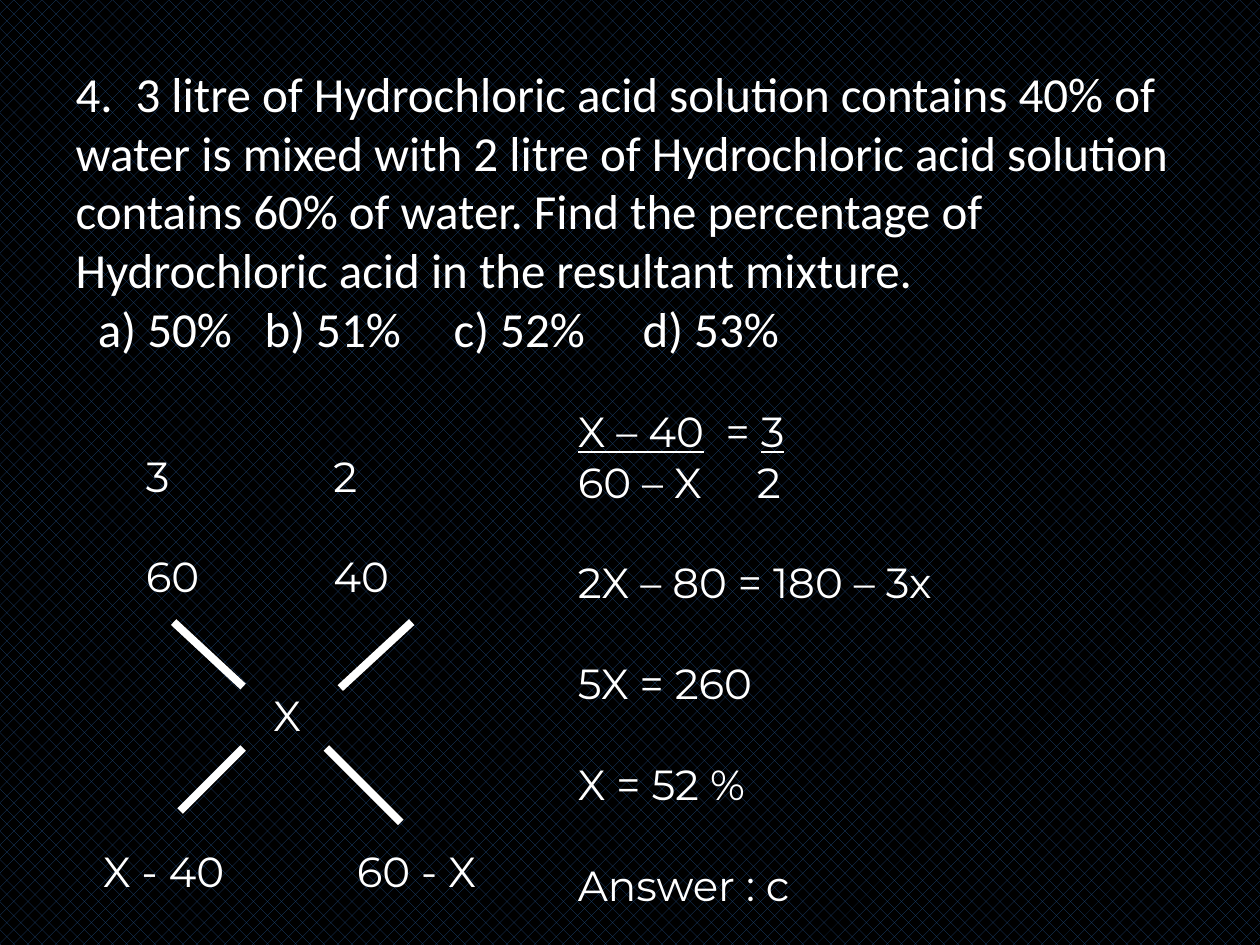
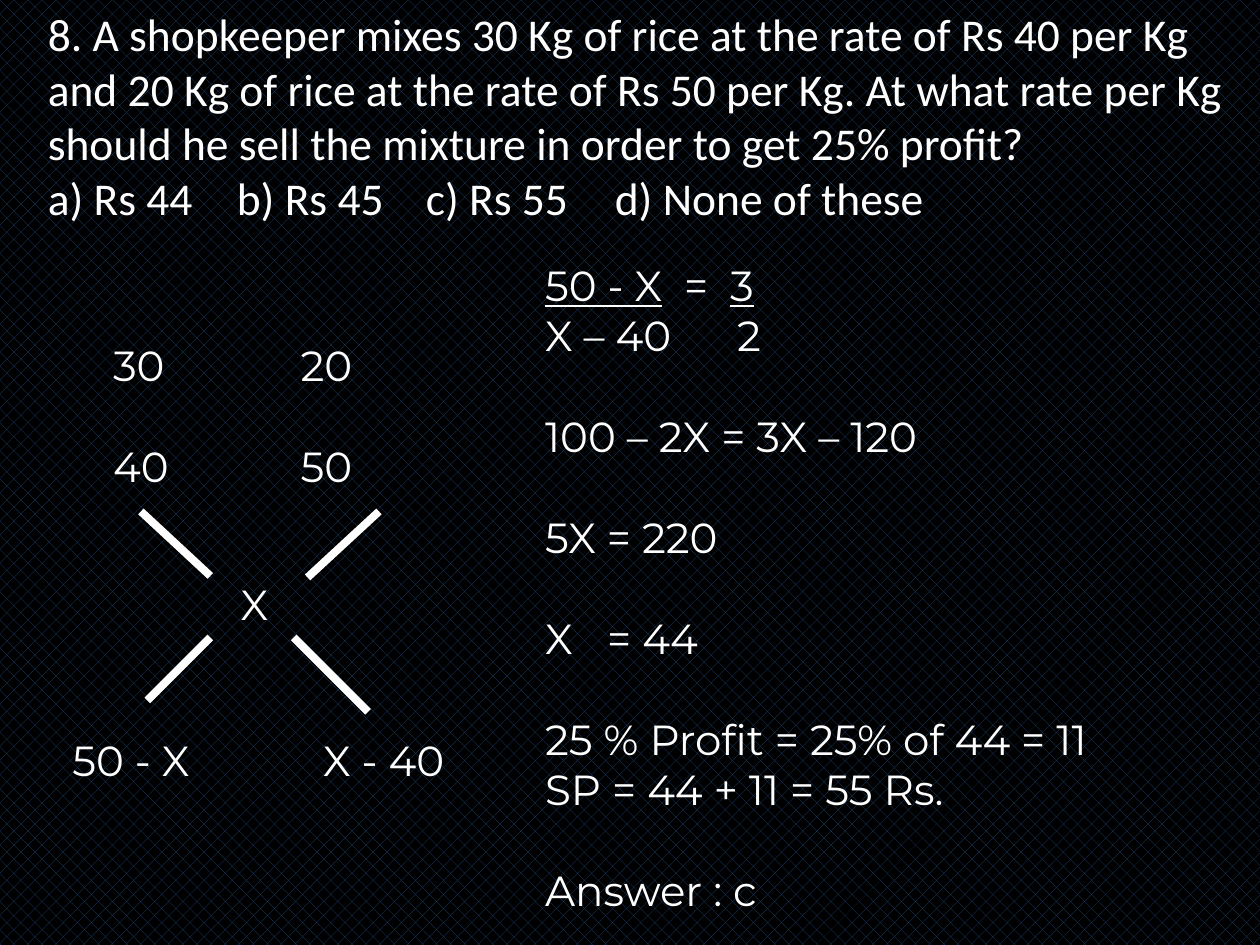
from lxml import etree
from pptx import Presentation
from pptx.dml.color import RGBColor
from pptx.enum.dml import MSO_PATTERN
from pptx.enum.shapes import MSO_CONNECTOR
from pptx.enum.text import MSO_ANCHOR, MSO_AUTO_SIZE, PP_ALIGN
from pptx.oxml.ns import qn
from pptx.util import Cm, Pt

LEFT, CENTER = PP_ALIGN.LEFT, PP_ALIGN.CENTER
TOP, MIDDLE = MSO_ANCHOR.TOP, MSO_ANCHOR.MIDDLE
STRAIGHT = MSO_CONNECTOR.STRAIGHT
COLORS = {"text": "FFFFFF", "weave": "1F497D", "ground": "000000"}
WHITE = RGBColor.from_string(COLORS["text"])
WORKING_FONT = {"name": "Montserrat", "size": Pt(24)}
GAP = 28.8  # one working line, in points
OPTION_STOPS = [5.08, 10.16, 15.24]
NUMBER_STOPS = [3.78]


def write(frame, lines, font, anchor=MIDDLE, align=LEFT):
    """Fill a frame with (text, tab stops in cm, space before in pt); _..._ underlines."""
    settings = {"word_wrap": True, "auto_size": MSO_AUTO_SIZE.NONE, "vertical_anchor": anchor}
    for key, value in settings.items():
        setattr(frame, key, value)
    for index, (text, stops, space) in enumerate(lines):
        paragraph = frame.paragraphs[0] if index == 0 else frame.add_paragraph()
        paragraph.alignment = align
        paragraph.space_before = Pt(space)
        if stops:
            tabs = etree.SubElement(paragraph._p.get_or_add_pPr(), qn("a:tabLst"))
            for stop in stops:
                etree.SubElement(tabs, qn("a:tab"), pos=str(Cm(stop)), algn="l")
        for part, piece in enumerate(text.split("_")):
            if piece:
                run = paragraph.add_run()
                run.text = piece
                for key, value in font.items():
                    setattr(run.font, key, value)
                run.font.underline = part % 2 == 1
                run.font.color.rgb = WHITE


def add_working(slide, box, lines, align=LEFT):
    frame = slide.shapes.add_textbox(*map(Cm, box)).text_frame
    write(frame, lines, WORKING_FONT, align=align)


# Arms of the cross, measured from the diagram's corner: x1, y1, x2, y2
CROSS_ARMS = [
    (1.8, 3.78, 3.2, 5.08),
    (5.16, 5.11, 6.6, 3.78),
    (1.93, 7.59, 3.2, 6.32),
    (4.88, 6.32, 6.38, 7.82),
]

PROBLEMS = [
    {
        "question_box": (1.27, 0.76, 22.86, 6.96),
        "question_size": 28,
        "question_anchor": MIDDLE,
        "options_indent": 0.45,
        "question": [
            ("4.\t3 litre of Hydrochloric acid solution contains 40% of water is mixed "
             "with 2 litre of Hydrochloric acid solution contains 60% of water. Find the "
             "percentage of Hydrochloric acid in the resultant mixture.", [1.21], 0),
            ("a) 50%\tb) 51%\tc) 52%\td) 53%", OPTION_STOPS, 0),
        ],
        "diagram_corner": (1.7, 8.76),
        "quantities": "3\t2",
        "values": "60\t40",
        "differences": ("X - 40", "60 - X"),
        "solution_box": (11.4, 8.33, 12.4, 9.86),
        "solution": [
            ("_X – 40\t_= _3\t_", [2.98, 4.62], 0),
            ("60 – X\t2", [3.61], 0),
            ("2X – 80 = 180 – 3x", [], GAP),
            ("5X = 260", [], GAP),
            ("X = 52 %", [], GAP),
            ("Answer : c", [], GAP),
        ],
    },
    {
        "question_box": (0.71, 0, 24.41, 4.7),
        "question_size": 26,
        "question_anchor": TOP,
        "options_indent": 0,
        "question": [
            ("8. A shopkeeper mixes 30 Kg of rice at the rate of Rs 40 per Kg and 20 Kg "
             "of rice at the rate of Rs 50 per Kg. At what rate per Kg should he sell "
             "the mixture in order to get 25% profit?", [], 0),
            ("a) Rs 44\tb) Rs 45\tc) Rs 55\td) None of these", OPTION_STOPS, 0),
        ],
        "diagram_corner": (1.04, 6.53),
        "quantities": "30\t20",
        "values": "40\t50",
        "differences": ("50 - X", "X - 40"),
        "solution_box": (10.74, 5.13, 13.77, 13.41),
        "solution": [
            ("_50 - X\t_=\t_3\t_", [2.8, 3.73, 4.66], 0),
            ("X – 40\t2", [3.87], 0),
            ("100 – 2X = 3X – 120", [], GAP),
            ("5X = 220", [], GAP),
            ("X\t= 44", [1.25], GAP),
            ("25 % Profit = 25% of 44 = 11", [], GAP),
            ("SP = 44 + 11 = 55 Rs.", [], 0),
            ("Answer : c", [], GAP),
        ],
    },
]

prs = Presentation()
prs.slide_width, prs.slide_height = Cm(25.4), Cm(19.05)
title_only = prs.slide_layouts[5]

for problem in PROBLEMS:
    slide = prs.slides.add_slide(title_only)
    weave = slide.background.fill
    weave.patterned()
    weave.pattern = MSO_PATTERN.PERCENT_25
    weave.fore_color.rgb = RGBColor.from_string(COLORS["weave"])
    weave.back_color.rgb = RGBColor.from_string(COLORS["ground"])

    question = slide.shapes.title
    for side, length in zip(("left", "top", "width", "height"), problem["question_box"]):
        setattr(question, side, Cm(length))
    write(question.text_frame, problem["question"],
          {"name": "Calibri", "size": Pt(problem["question_size"])},
          anchor=problem["question_anchor"])
    options = question.text_frame.paragraphs[1]._p.get_or_add_pPr()
    options.set("marL", "0")
    options.set("indent", str(Cm(problem["options_indent"])))

    x, y = problem["diagram_corner"]
    add_working(slide, (x + 0.99, y, 6.27, 3.68),
                [(problem["quantities"], NUMBER_STOPS, 0),
                 (problem["values"], NUMBER_STOPS, GAP)])
    for x1, y1, x2, y2 in CROSS_ARMS:
        arm = slide.shapes.add_connector(STRAIGHT, Cm(x + x1), Cm(y + y1), Cm(x + x2), Cm(y + y2))
        arm.line.color.rgb = WHITE
        arm.line.width = Pt(4.5)
        etree.SubElement(arm._element.spPr, qn("a:effectLst"))
    left_difference, right_difference = problem["differences"]
    for text, dx, dy, width in (
        ("X", 3.2, 5.03, 1.78),
        (left_difference, 0, 8.18, 3.2),
        (right_difference, 4.98, 8.18, 3.43),
    ):
        add_working(slide, (x + dx, y + dy, width, 1.22), [(text, [], 0)], CENTER)

    add_working(slide, problem["solution_box"], problem["solution"])

prs.save("out.pptx")
